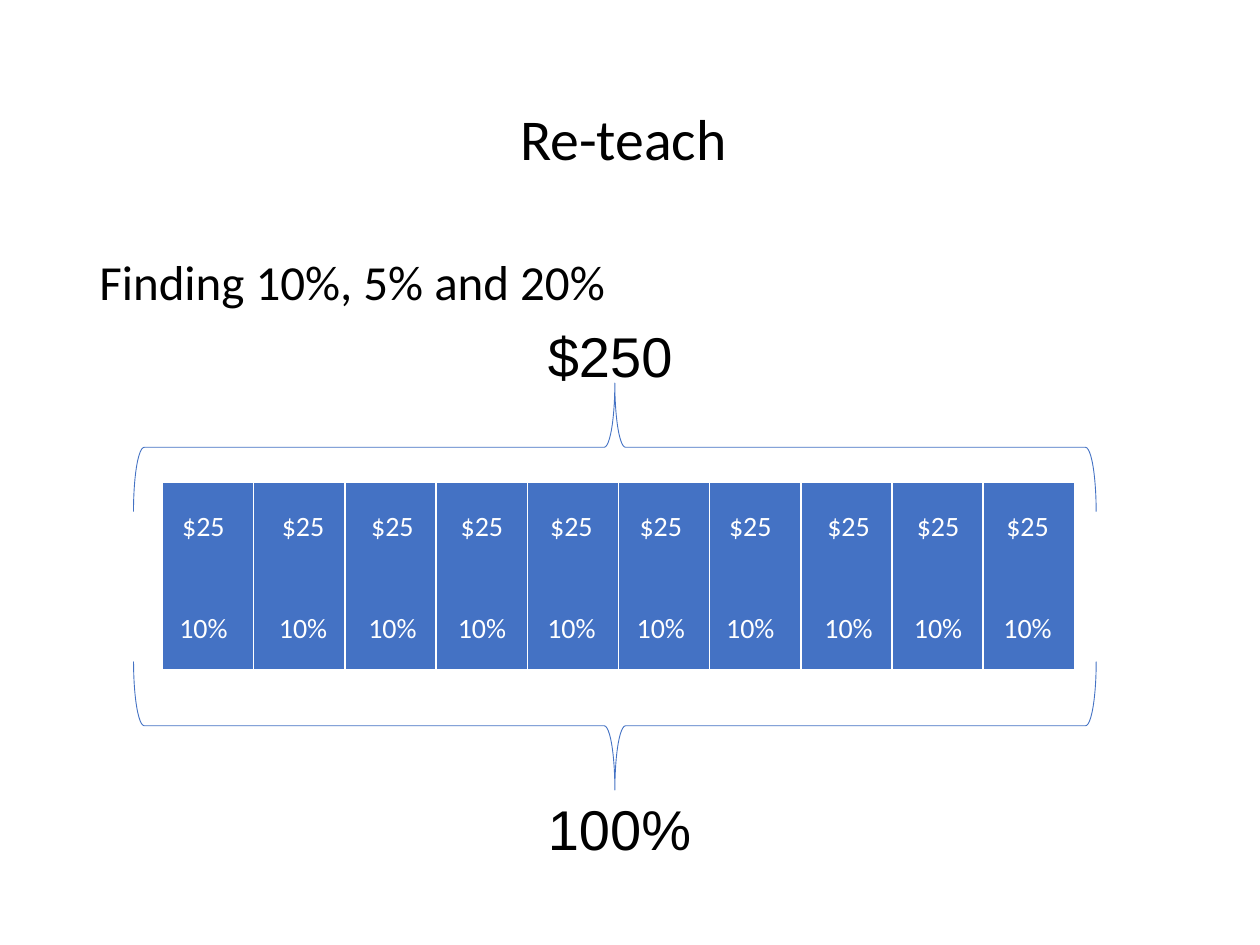
import pptx
import pptx.util
import pptx.dml.color
import pptx.enum.shapes
import pptx.enum.text
import pptx.oxml.ns
from lxml import etree
from pptx.util import Inches, Pt

COLORS = {"ink": "000000", "bar": "4472C4", "white": "FFFFFF"}
TITLE = "Re-teach "
SUBTITLE = "Finding 10%, 5% and 20%"
TOTALS = [("$250", 2.5), ("100%", 6.26)]
BRACES = [(90, 1.94), (270, -0.27)]
PART_LINES = ["$25", "10%"]
PART_RUNS = [(1.3, 1), (2.09, 6), (6.42, 3)]
PART_PITCH = 0.71
BAR_PARTS = 10
BAR_BOX = (1.29, 3.83, 7.24, 1.5)
BORDERS = {"a:lnL": 1, "a:lnR": 1, "a:lnT": 1, "a:lnB": 3}


def rgb(name):
    return pptx.dml.color.RGBColor.from_string(COLORS[name])


def write(shape, lines, size, color="ink", font="Calibri", align="LEFT", spacing=None, gap=0):
    frame = shape.text_frame
    frame.word_wrap = True
    frame.text = "\n".join(lines)
    for index, paragraph in enumerate(frame.paragraphs):
        paragraph.alignment = getattr(pptx.enum.text.PP_ALIGN, align)
        paragraph.line_spacing = spacing
        paragraph.space_before = Pt(gap if index else 0)
        for run in paragraph.runs:
            run.font.size = Pt(size)
            run.font.name = font
            run.font.color.rgb = rgb(color)


def add_text(slide, box, lines, size, **style):
    shape = slide.shapes.add_textbox(*map(Inches, box))
    write(shape, lines, size, **style)


def add_border(cell, tag, width):
    line = etree.SubElement(cell._tc.get_or_add_tcPr(), pptx.oxml.ns.qn(tag), w=str(Pt(width)))
    fill = etree.SubElement(line, pptx.oxml.ns.qn("a:solidFill"))
    etree.SubElement(fill, pptx.oxml.ns.qn("a:srgbClr"), val=COLORS["white"])


def add_bar(slide):
    table = slide.shapes.add_table(1, BAR_PARTS, *map(Inches, BAR_BOX)).table
    for column in table.columns:
        column.width = Inches(BAR_BOX[2] / BAR_PARTS)
    for cell in table.iter_cells():
        for tag, width in BORDERS.items():
            add_border(cell, tag, width)
        cell.fill.solid()
        cell.fill.fore_color.rgb = rgb("bar")


def add_brace(slide, rotation, top):
    brace = slide.shapes.add_shape(
        pptx.enum.shapes.MSO_SHAPE.RIGHT_BRACE,
        Inches(4.37), Inches(top), Inches(1.02), Inches(7.64))
    brace.rotation = rotation
    brace.shadow.inherit = False
    brace.fill.background()
    brace.line.color.rgb = rgb("bar")
    brace.line.width = Pt(0.5)


def main():
    """Build the slide that splits $250 into ten equal parts."""
    deck = pptx.Presentation()
    deck.slide_width, deck.slide_height = Inches(10), Inches(7.5)
    slide = deck.slides.add_slide(deck.slide_layouts[5])

    title = slide.shapes.title
    title.left, title.top, title.width, title.height = map(Inches, (0.69, 0.4, 8.62, 1.45))
    write(title, [TITLE], 33, align="CENTER", spacing=0.9)
    title.text_frame.vertical_anchor = pptx.enum.text.MSO_ANCHOR.MIDDLE
    add_text(slide, (0.69, 2, 8.62, 4.76), [SUBTITLE], 28, spacing=0.9)

    add_bar(slide)
    for rotation, top in BRACES:
        add_brace(slide, rotation, top)
    for total, top in TOTALS:
        add_text(slide, (4.25, top, 1.5, 0.64), [total], 32, font="Arial")
    for start, count in PART_RUNS:
        for index in range(count):
            add_text(slide, (start + index * PART_PITCH, 3.99, 0.63, 1.18), PART_LINES, 16,
                     color="white", align="CENTER", gap=39)

    deck.save("out.pptx")


if __name__ == "__main__":
    main()
